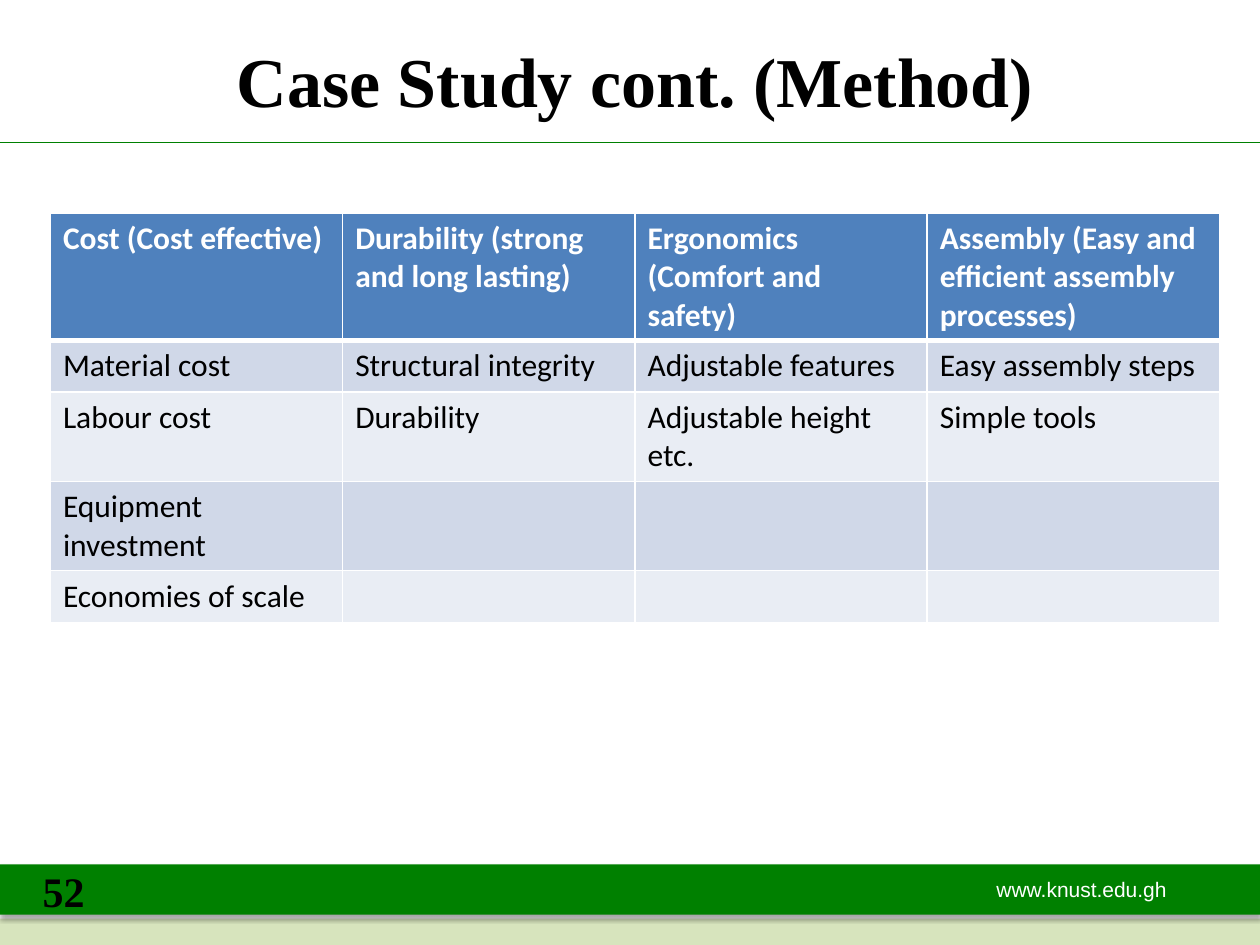
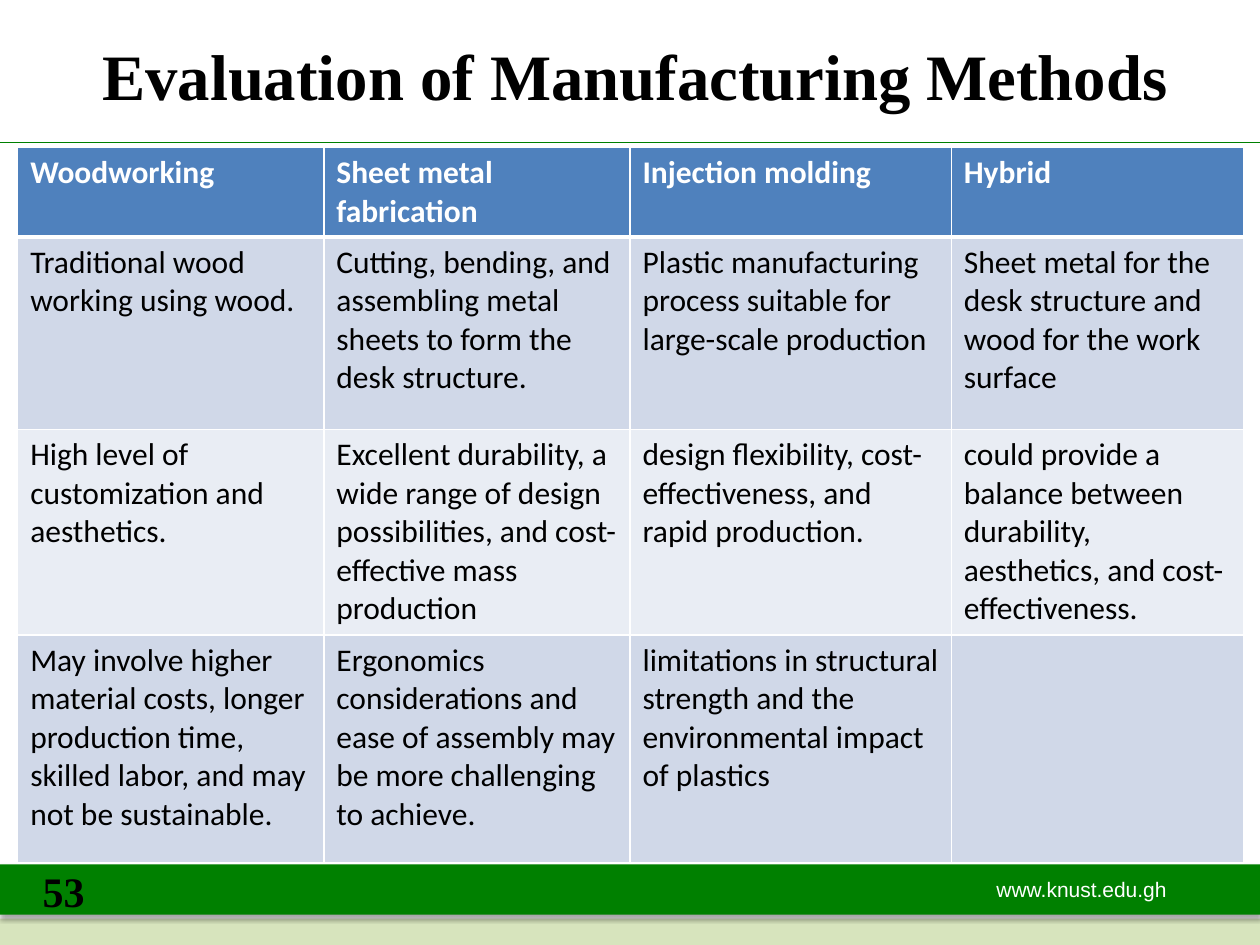
from lxml import etree
from pptx import Presentation
from pptx.dml.color import RGBColor
from pptx.enum.shapes import MSO_CONNECTOR, MSO_SHAPE
from pptx.enum.text import MSO_ANCHOR, PP_ALIGN
from pptx.oxml import parse_xml
from pptx.oxml.ns import nsdecls, qn
from pptx.util import Inches, Pt

BLACK = RGBColor(0x00, 0x00, 0x00)
WHITE = RGBColor(0xFF, 0xFF, 0xFF)
GREEN = RGBColor(0x00, 0x80, 0x00)
RULE_GREEN = RGBColor(0x00, 0x80, 0x01)
PALE_GREEN = RGBColor(0xD7, 0xE4, 0xBD)
HEADER_BLUE = RGBColor(0x4F, 0x81, 0xBD)
BODY_FILLS = (RGBColor(0xD0, 0xD8, 0xE8), RGBColor(0xE9, 0xED, 0xF4))

TITLE_FONT = "Times New Roman"
TABLE_FONT = "Calibri"
FOOTER_FONT = "Arial"

LEFT, CENTER, RIGHT = PP_ALIGN.LEFT, PP_ALIGN.CENTER, PP_ALIGN.RIGHT
TOP, MIDDLE = MSO_ANCHOR.TOP, MSO_ANCHOR.MIDDLE
RECTANGLE = MSO_SHAPE.RECTANGLE
STRAIGHT = MSO_CONNECTOR.STRAIGHT

SLIDE_WIDTH, SLIDE_HEIGHT = 10, 7.5
RULE_TOP = 1.13
WEBSITE = "www.knust.edu.gh"


class Deck:
    """Holds the presentation, its shared style and the current slide."""

    def __init__(self):
        self.presentation = Presentation()
        self.presentation.slide_width = Inches(SLIDE_WIDTH)
        self.presentation.slide_height = Inches(SLIDE_HEIGHT)
        self.slide = None

    def add_slide(self, title, number, title_size=40, title_spacing=1.0):
        layout = self.presentation.slide_layouts[6]
        self.slide = self.presentation.slides.add_slide(layout)
        # Footer bands and website
        self.band(7.29, 0.21, PALE_GREEN)
        self.band(6.86, 0.4, GREEN)
        self.text(WEBSITE, 7.81, 6.91, 1.69, 0.3, FOOTER_FONT, 12, WHITE)
        # Title with the rule below it
        self.rule(RULE_TOP)
        self.text(title, 0.4, 0.21, 9.28, 0.84, TITLE_FONT, title_size, bold=True,
                  align=CENTER, anchor=MIDDLE, spacing=title_spacing)
        # Slide number
        self.text(str(number), 0.07, 6.87, 0.7, 0.4, TITLE_FONT, 24, bold=True,
                  align=RIGHT, anchor=MIDDLE)

    def band(self, top, height, color):
        shape = self.slide.shapes.add_shape(
            RECTANGLE, 0, Inches(top), Inches(SLIDE_WIDTH), Inches(height))
        shape.fill.solid()
        shape.fill.fore_color.rgb = color
        shape.line.fill.background()
        shape.shadow.inherit = False
        effects = shape._element.spPr.find(qn("a:effectLst"))
        effects.append(parse_xml(
            f'<a:outerShdw {nsdecls("a")} blurRad="{Pt(3.1)}" dist="{Pt(1.8)}" '
            'dir="5400000" rotWithShape="0"><a:srgbClr val="000000">'
            '<a:alpha val="35000"/></a:srgbClr></a:outerShdw>'))

    def rule(self, top):
        line = self.slide.shapes.add_connector(
            STRAIGHT, 0, Inches(top), Inches(SLIDE_WIDTH), Inches(top))
        line.line.color.rgb = RULE_GREEN
        line.line.width = Pt(1)
        etree.SubElement(line._element.spPr, qn("a:effectLst"))

    def text(self, words, left, top, width, height, font, size, color=BLACK,
             bold=False, align=LEFT, anchor=TOP, spacing=1.0):
        box = self.slide.shapes.add_textbox(
            Inches(left), Inches(top), Inches(width), Inches(height))
        frame = box.text_frame
        frame.word_wrap = True
        frame.vertical_anchor = anchor
        paragraph = frame.paragraphs[0]
        paragraph.alignment = align
        paragraph.line_spacing = spacing
        self.run(paragraph, words, font, size, color, bold)

    def run(self, paragraph, words, font, size, color, bold):
        run = paragraph.add_run()
        run.text = words
        run.font.name = font
        run.font.size = Pt(size)
        run.font.bold = bold
        run.font.color.rgb = color

    def table(self, left, top, widths, heights, rows):
        table = self.slide.shapes.add_table(
            len(rows), len(widths), Inches(left), Inches(top),
            Inches(sum(widths)), Inches(sum(heights))).table
        for column, width in zip(table.columns, widths):
            column.width = Inches(width)
        for row_index, (row, height) in enumerate(zip(rows, heights)):
            table.rows[row_index].height = Inches(height)
            for column_index, words in enumerate(row):
                self.cell(table.cell(row_index, column_index), words, row_index)

    def cell(self, cell, words, row_index):
        is_header = row_index == 0
        # Thick border between the header and the body
        self.borders(cell, top=3 if row_index == 1 else 1, bottom=3 if is_header else 1)
        cell.fill.solid()
        cell.fill.fore_color.rgb = HEADER_BLUE if is_header else BODY_FILLS[(row_index - 1) % 2]
        if words:
            self.run(cell.text_frame.paragraphs[0], words, TABLE_FONT, 18,
                     WHITE if is_header else BLACK, is_header)

    def borders(self, cell, top, bottom):
        properties = cell._tc.get_or_add_tcPr()
        for side, width in (("L", 1), ("R", 1), ("T", top), ("B", bottom)):
            properties.append(parse_xml(
                f'<a:ln{side} {nsdecls("a")} w="{Pt(width)}"><a:solidFill>'
                f'<a:srgbClr val="{WHITE}"/></a:solidFill></a:ln{side}>'))


def main():
    deck = Deck()

    # Criteria of the case study
    deck.add_slide("Case Study cont. (Method)", 52)
    deck.table(0.4, 1.69, [2.32] * 4, [1.01, 0.41, 0.71, 0.71, 0.41], [
        ("Cost (Cost effective)", "Durability (strong and long lasting)",
         "Ergonomics (Comfort and safety)",
         "Assembly (Easy and efficient assembly processes)"),
        ("Material cost", "Structural integrity", "Adjustable features",
         "Easy assembly steps"),
        ("Labour cost", "Durability", "Adjustable height etc.", "Simple tools"),
        ("Equipment investment", "", "", ""),
        ("Economies of scale", "", "", ""),
    ])

    # Comparison of manufacturing methods
    deck.add_slide("Evaluation of Manufacturing Methods", 53,
                   title_size=37, title_spacing=0.9)
    deck.table(0.14, 1.17, [2.43, 2.43, 2.55, 2.32], [0.71, 1.53, 1.63, 1.81], [
        ("Woodworking", "Sheet metal fabrication", "Injection molding", "Hybrid"),
        ("Traditional wood working using wood.",
         "Cutting, bending, and assembling metal sheets to form the desk structure.",
         "Plastic manufacturing process suitable for large-scale production",
         "Sheet metal for the desk structure and wood for the work surface"),
        ("High level of customization and aesthetics.",
         "Excellent durability, a wide range of design possibilities, and "
         "cost-effective mass production",
         "design flexibility, cost-effectiveness, and rapid production.",
         "could provide a balance between durability, aesthetics, and "
         "cost-effectiveness."),
        ("May involve higher material costs, longer production time, skilled labor, "
         "and may not be sustainable.",
         "Ergonomics considerations and ease of assembly may be more challenging "
         "to achieve.",
         "limitations in structural strength and the environmental impact of plastics",
         ""),
    ])

    deck.presentation.save("out.pptx")


if __name__ == "__main__":
    main()
